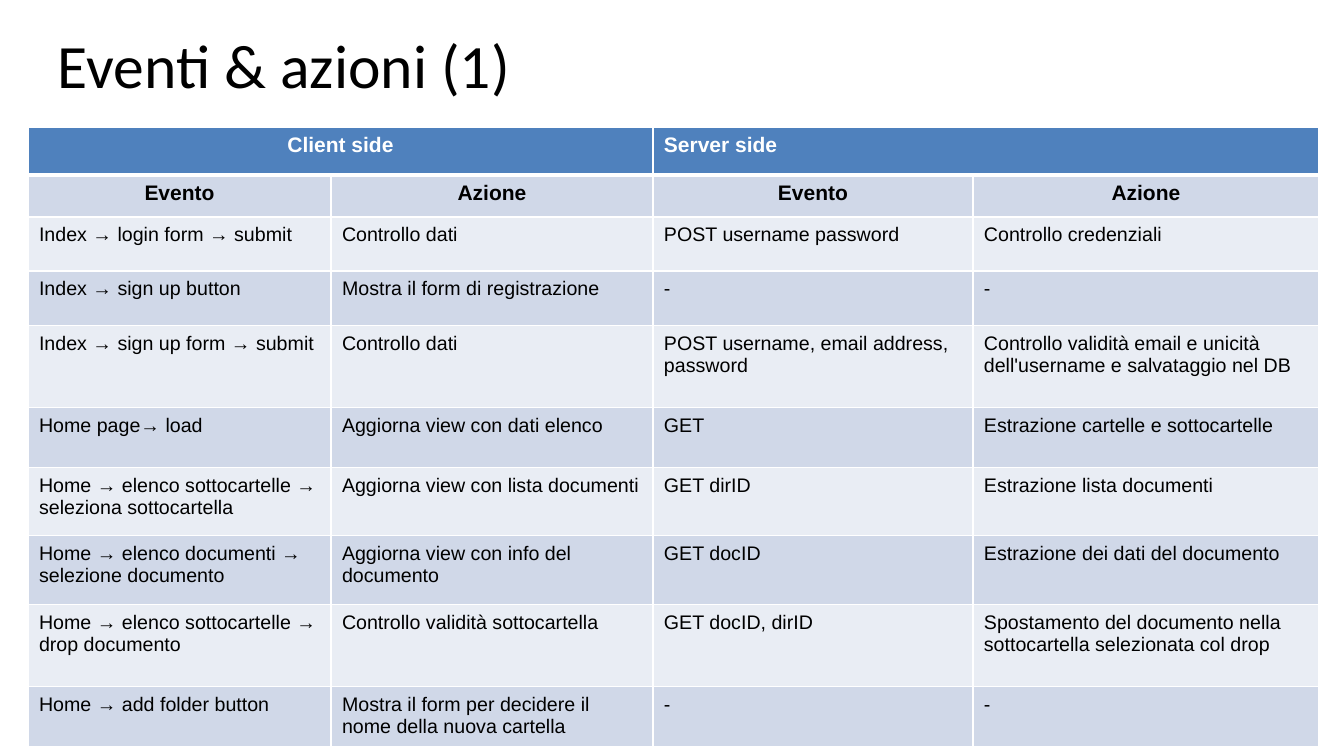
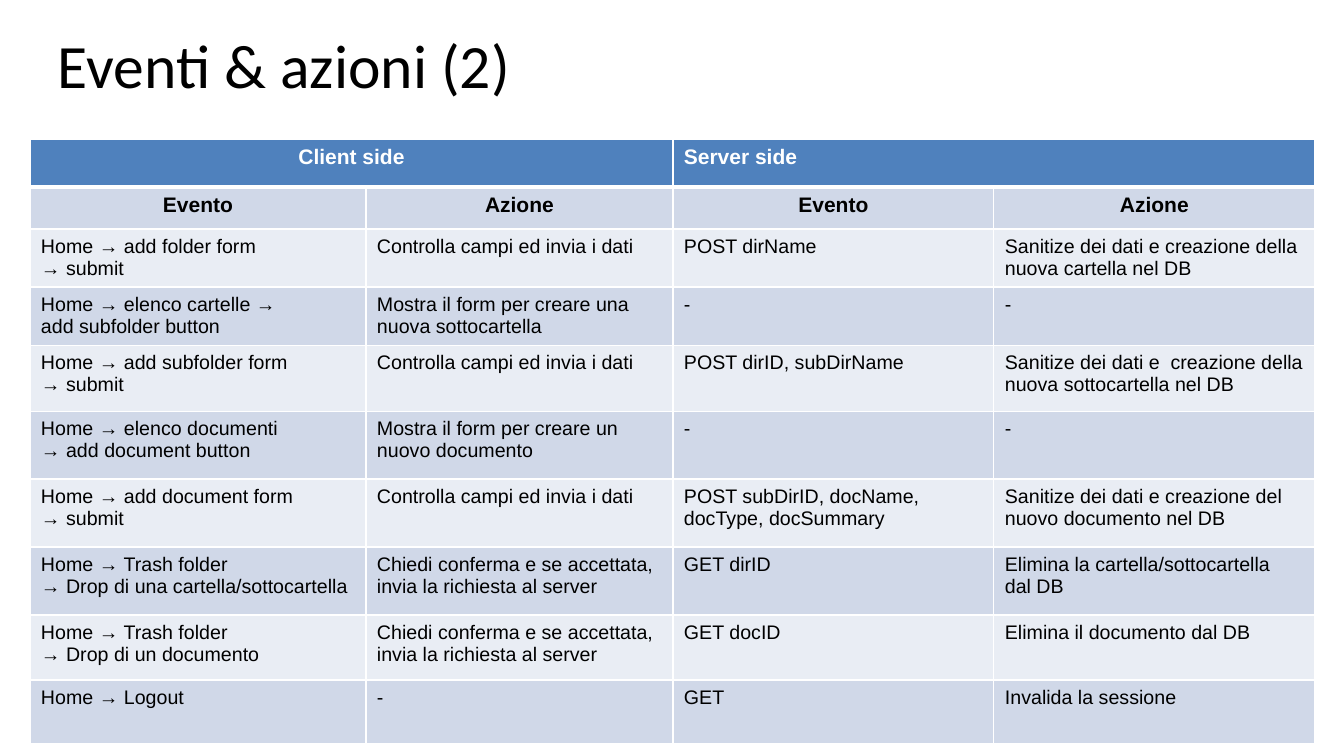
"""Builds two slides that list client and server events with their actions."""
import lxml.etree
import pptx
import pptx.dml.color
import pptx.enum.text
import pptx.oxml.ns
import pptx.util

EMU_PER_PX = 914400 / 100.8
TITLE_ONLY = 5
WHITE, BLACK = "FFFFFF", "000000"
HEADER_BLUE = "4F81BD"
BANDS = ("D0D8E8", "E9EDF4")
CENTER = pptx.enum.text.PP_ALIGN.CENTER
LEFT = pptx.enum.text.PP_ALIGN.LEFT

SIDES = ["Client side", "", "Server side", ""]
HEADINGS = ["Evento", "Azione"] * 2
NAVIGATION = [
    ["Index → login form → submit", "Controllo dati", "POST username password", "Controllo credenziali"],
    ["Index → sign up button", "Mostra il form di registrazione", "-", "-"],
    ["Index → sign up form → submit", "Controllo dati", "POST username, email address, password",
     "Controllo validità email e unicità dell'username e salvataggio nel DB"],
    ["Home page→ load", "Aggiorna view con dati elenco", "GET", "Estrazione cartelle e sottocartelle"],
    ["Home → elenco sottocartelle → seleziona sottocartella", "Aggiorna view con lista documenti",
     "GET dirID", "Estrazione lista documenti"],
    ["Home → elenco documenti → selezione documento", "Aggiorna view con info del documento",
     "GET docID", "Estrazione dei dati del documento"],
    ["Home → elenco sottocartelle → drop documento", "Controllo validità sottocartella",
     "GET docID, dirID", "Spostamento del documento nella sottocartella selezionata col drop"],
    ["Home → add folder button", "Mostra il form per decidere il nome della nuova cartella", "-", "-"],
]
EDITING = [
    ["Home → add folder form\n→ submit", "Controlla campi ed invia i dati", "POST dirName",
     "Sanitize dei dati e creazione della nuova cartella nel DB"],
    ["Home → elenco cartelle →\nadd subfolder button",
     "Mostra il form per creare una nuova sottocartella", "-", "-"],
    ["Home → add subfolder form\n→ submit", "Controlla campi ed invia i dati", "POST dirID, subDirName",
     "Sanitize dei dati e  creazione della nuova sottocartella nel DB"],
    ["Home → elenco documenti\n→ add document button",
     "Mostra il form per creare un nuovo documento", "-", "-"],
    ["Home → add document form\n→ submit", "Controlla campi ed invia i dati",
     "POST subDirID, docName, docType, docSummary",
     "Sanitize dei dati e creazione del nuovo documento nel DB"],
    ["Home → Trash folder\n→ Drop di una cartella/sottocartella",
     "Chiedi conferma e se accettata, invia la richiesta al server", "GET dirID",
     "Elimina la cartella/sottocartella\ndal DB"],
    ["Home → Trash folder\n→ Drop di un documento",
     "Chiedi conferma e se accettata, invia la richiesta al server", "GET docID",
     "Elimina il documento dal DB"],
    ["Home → Logout", "-", "GET", "Invalida la sessione"],
]


def px(length):
    """Turn pixels into EMU."""
    return pptx.util.Emu(round(length * EMU_PER_PX))


def rgb(value):
    """Turn a hex string into a colour."""
    return pptx.dml.color.RGBColor.from_string(value)


def set_insets(holder, across, down):
    """Set the side and the top and bottom margins of a cell or text frame."""
    holder.margin_left = holder.margin_right = px(across)
    holder.margin_top = holder.margin_bottom = px(down)


def write(frame, text, size, font, color, bold=False, align=LEFT):
    """Write each line of the text as one paragraph with one run."""
    for index, line in enumerate(text.split("\n")):
        paragraph = frame.paragraphs[0] if index == 0 else frame.add_paragraph()
        paragraph.alignment = align
        run = paragraph.add_run()
        run.text = line
        run.font.size = pptx.util.Pt(size)
        run.font.name = font
        run.font.bold = bold
        run.font.color.rgb = rgb(color)


def add_borders(cell, bottom):
    """Draw white borders around a cell, with the given bottom width in points."""
    properties = cell._tc.get_or_add_tcPr()
    for side, width in (("L", 1), ("R", 1), ("T", 1), ("B", bottom)):
        border = lxml.etree.SubElement(properties, pptx.oxml.ns.qn(f"a:ln{side}"), w=str(pptx.util.Pt(width)))
        fill = lxml.etree.SubElement(border, pptx.oxml.ns.qn("a:solidFill"))
        lxml.etree.SubElement(fill, pptx.oxml.ns.qn("a:srgbClr"), val=WHITE)


def fill_cell(cell, text, row, column):
    """Format a cell by its row: sides, headings or banded events."""
    add_borders(cell, 3 if row == 0 else 1)
    cell.fill.solid()
    cell.fill.fore_color.rgb = rgb(HEADER_BLUE if row == 0 else BANDS[(row - 1) % 2])
    set_insets(cell, 11, 7)
    if text:
        heading = row < 2
        centred = row == 1 or (row == 0 and column == 0)
        write(cell.text_frame, text, 15 if heading else 14, "Arial",
              BLACK if row else WHITE, heading, CENTER if centred else LEFT)


def add_title(slide, text):
    """Place the slide title."""
    title = slide.shapes.title
    title.left, title.top, title.width, title.height = map(px, (46, 1, 1210, 126))
    frame = title.text_frame
    frame.auto_size = pptx.enum.text.MSO_AUTO_SIZE.NONE
    frame.vertical_anchor = pptx.enum.text.MSO_ANCHOR.MIDDLE
    set_insets(frame, 12, 6)
    write(frame, text, 44, "Calibri", BLACK)


def add_events(slide, left, top, widths, heights, events):
    """Add the table of events under its two header rows."""
    rows = [SIDES, HEADINGS, *events]
    table = slide.shapes.add_table(len(rows), len(widths), px(left), px(top),
                                   px(sum(widths)), px(sum(heights))).table
    for column, width in zip(table.columns, widths):
        column.width = px(width)
    for row, height in zip(table.rows, heights):
        row.height = px(height)
    for first in (0, 2):
        table.cell(0, first).merge(table.cell(0, first + 1))
    for row, texts in enumerate(rows):
        for column, text in enumerate(texts):
            fill_cell(table.cell(row, column), text, row, column)


def add_events_slide(deck, title, *events):
    """Add a slide with a title and a table of events."""
    slide = deck.slides.add_slide(deck.slide_layouts[TITLE_ONLY])
    add_title(slide, title)
    add_events(slide, *events)


def main():
    """Build and save the slides."""
    deck = pptx.Presentation()
    deck.slide_width, deck.slide_height = px(1344), px(756)
    add_events_slide(deck, "Eventi & azioni (1)", 28, 127, [303, 322, 320, 346],
                     [48, 42, 54, 55, 82, 60, 68, 69, 82, 60], NAVIGATION)
    add_events_slide(deck, "Eventi & azioni (2)", 30, 139, [336, 307, 321, 321],
                     [48, 42, 58, 57, 66, 68, 68, 68, 65, 64], EDITING)
    deck.save("out.pptx")


if __name__ == "__main__":
    main()
